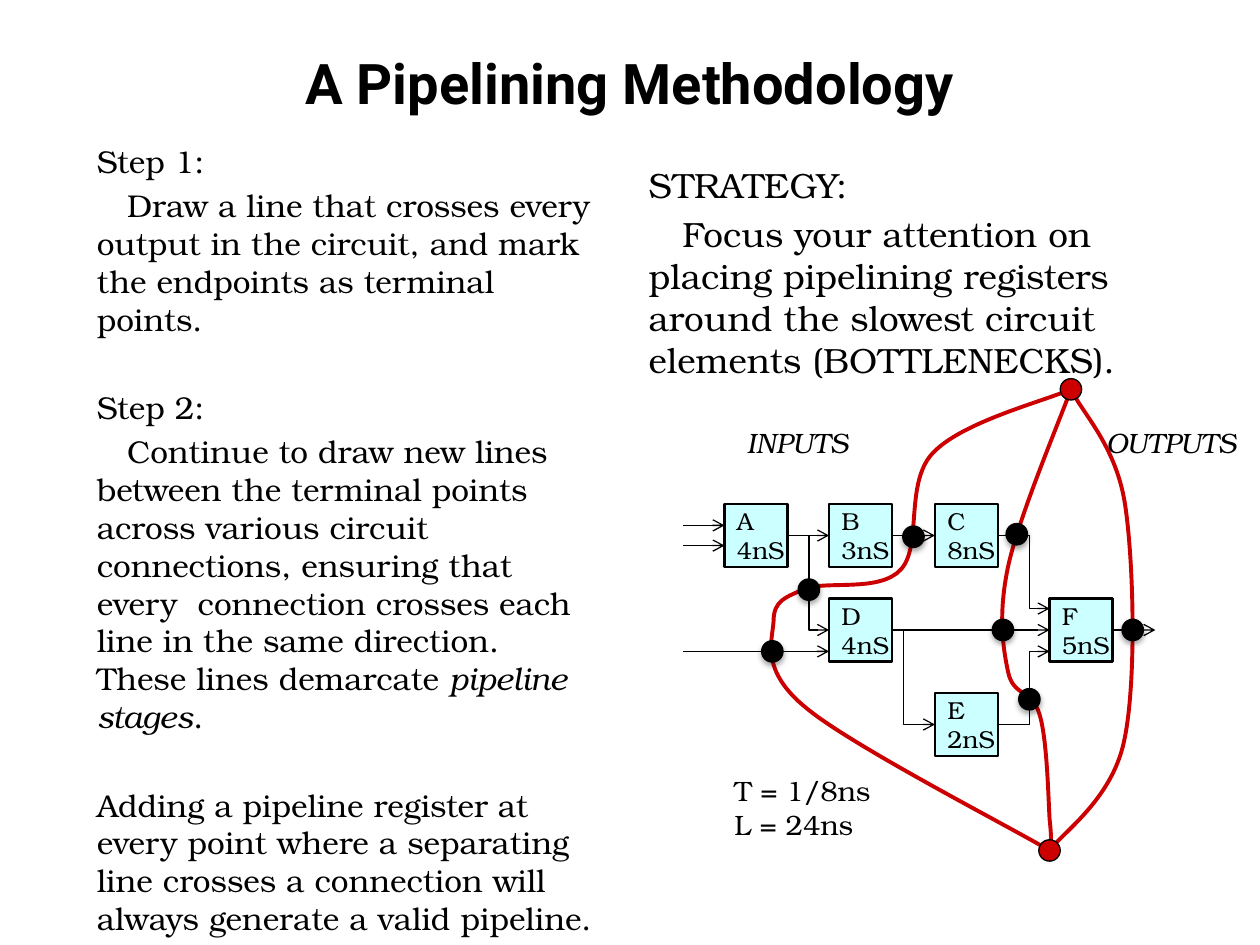
from lxml.etree import SubElement
from pptx import Presentation
from pptx.dml.color import RGBColor
from pptx.enum.shapes import MSO_CONNECTOR, MSO_SHAPE
from pptx.enum.text import MSO_ANCHOR, MSO_AUTO_SIZE, PP_ALIGN
from pptx.oxml.ns import qn
from pptx.util import Cm, Pt

RECT, OVAL = MSO_SHAPE.RECTANGLE, MSO_SHAPE.OVAL
STRAIGHT = MSO_CONNECTOR.STRAIGHT
MIDDLE = MSO_ANCHOR.MIDDLE
NO_FIT, GROW = MSO_AUTO_SIZE.NONE, MSO_AUTO_SIZE.SHAPE_TO_FIT_TEXT
LEFT, CENTER = PP_ALIGN.LEFT, PP_ALIGN.CENTER

COLORS = {"ink": "000000", "block": "CCFFFF", "cut": "CC0000"}
BODY = "TeX Gyre Bonum"
TITLE_FONT = {"name": "Roboto", "size": Pt(32), "bold": True}
STEP_FONT = {"name": BODY, "size": Pt(18)}
STRATEGY_FONT = {"name": BODY, "size": Pt(20)}
BLOCK_FONT = {"name": BODY, "size": Pt(14)}
LABEL_FONT = {"name": BODY, "size": Pt(16)}
ITALIC_FONT = {**LABEL_FONT, "italic": True}

SIDE, DOT = 0.5, 0.17
COL_A, COL_B, COL_C, COL_F = 5.75, 6.58, 7.42, 8.33
ROW_1, ROW_2, ROW_3 = 4, 4.75, 5.5
TOP, BOTTOM = (8.5, 3.09), (8.33, 6.75)

STEPS = [
    ("Step 1:", 3.6, 0),
    ("Draw a line that crosses every output in the circuit, and mark the "
     "endpoints as terminal points.", 3.6, 0.61),
    ("Step 2:", 29, 0),
    ("Continue to draw new lines between the terminal points across various "
     "circuit connections, ensuring that every  connection crosses each line "
     "in the same direction.  These lines demarcate *pipeline stages*.", 3.6, 0.61),
    ("Adding a pipeline register at every point where a separating line "
     "crosses a connection will always generate a valid pipeline.", 29, 0),
]
STRATEGY = [
    ("STRATEGY:", 4, 0),
    ("Focus your attention on placing pipelining registers around the slowest "
     "circuit elements (BOTTLENECKS).", 4, 0.68),
]
BLOCKS = [
    ("A", "4nS", COL_A, ROW_1), ("B", "3nS", COL_B, ROW_1),
    ("C", "8nS", COL_C, ROW_1), ("D", "4nS", COL_B, ROW_2),
    ("E", "2nS", COL_C, ROW_3), ("F", "5nS", COL_F, ROW_2),
]
ARROWS = [
    (5.42, COL_A, 4.17), (5.42, COL_A, 4.33), (6.25, COL_B, 4.25),
    (7.08, COL_C, 4.25), (7.08, COL_F, 5), (8.83, 9.17, 5), (5.42, COL_B, 5.17),
]
BENT_WIRES = [
    [(6.42, 4.25), (6.42, 5), (COL_B, 5)],
    [(7.92, 4.25), (8.17, 4.25), (8.17, 4.83), (COL_F, 4.83)],
    [(7.17, 5), (7.17, 5.75), (COL_C, 5.75)],
    [(7.92, 5.75), (8.17, 5.75), (8.17, 5.17), (COL_F, 5.17)],
]
CUTS = [
    [BOTTOM, (8.34, 6.72), (8.35, 6.68), (8.33, 6.5), (8.32, 6.32), (8.31, 5.86),
     (8.25, 5.67), (8.19, 5.47), (8.04, 5.53), (8, 5.33), (7.96, 5.14),
     (7.92, 4.88), (8, 4.5), (8.08, 4.12), (8.4, 3.36), TOP],
    [BOTTOM, (8.01, 6.56), (6.76, 5.92), (6.4, 5.62), (6.03, 5.32), (6.13, 5.09),
     (6.14, 4.93), (6.14, 4.77), (6.23, 4.74), (6.4, 4.67), (6.57, 4.61),
     (6.99, 4.7), (7.15, 4.52), (7.32, 4.34), (7.18, 3.84), (7.4, 3.6),
     (7.63, 3.35), (8.27, 3.19), TOP],
    [BOTTOM, (8.43, 6.61), (8.82, 6.35), (8.92, 5.89), (9.02, 5.44), (9, 4.48),
     (8.93, 4.01), (8.86, 3.54), (8.59, 3.28), TOP],
]
REGISTERS = [(8.07, 4.24), (7.96, 5), (8.17, 5.55), (8.99, 5),
             (7.25, 4.26), (6.42, 4.68), (6.13, 5.17)]


def cm(*inches):
    """Convert inches to a list of Cm lengths."""
    return [Cm(v * 2.54) for v in inches]


def rgb(name):
    """Look up a colour by its name."""
    return RGBColor.from_string(COLORS[name])


def set_line(shape, color, width):
    """Colour the line of a shape or connector."""
    shape.line.color.rgb = rgb(color)
    shape.line.width = Pt(width)


def add_arrowhead(shape):
    """Put an open arrowhead at the end of a line."""
    SubElement(shape.line._get_or_add_ln(), qn("a:tailEnd"), type="arrow")


def write(tf, paragraphs, fmt, align=LEFT):
    """Fill a frame with (text, space before, indent); stars mark italics."""
    for i, (text, before, indent) in enumerate(paragraphs):
        p = tf.paragraphs[0] if i == 0 else tf.add_paragraph()
        p.alignment, p.space_before = align, Pt(before)
        if indent:
            p._p.get_or_add_pPr().set("indent", str(Cm(indent)))
        for j, part in enumerate(text.split("*")):
            r = p.add_run()
            r.text = part
            r.font.color.rgb = rgb("ink")
            for key, value in fmt.items():
                setattr(r.font, key, value)
            if j % 2:
                r.font.italic = True


def add_text(s, box, paragraphs, fmt, align=LEFT, wrap=True):
    """Add a text box, which grows when it does not wrap."""
    tf = s.shapes.add_textbox(*cm(*box)).text_frame
    tf.word_wrap, tf.auto_size = wrap, NO_FIT if wrap else GROW
    write(tf, paragraphs, fmt, align)
    return tf


def add_figure(s, kind, box, fill, width):
    """Add a filled preset shape with a black outline."""
    sp = s.shapes.add_shape(kind, *cm(*box))
    sp.shadow.inherit = False
    sp.fill.solid()
    sp.fill.fore_color.rgb = rgb(fill)
    set_line(sp, "ink", width)
    return sp


def add_block(s, name, delay, x, y):
    """Add a circuit element with its name and delay."""
    tf = add_figure(s, RECT, (x, y, SIDE, SIDE), "block", 1.5).text_frame
    tf.word_wrap, tf.vertical_anchor = False, MIDDLE
    write(tf, [(name, 0, 0), (delay, 0, 0)], BLOCK_FONT)


def add_arrow(s, x1, x2, y):
    """Add a horizontal arrow."""
    line = s.shapes.add_connector(STRAIGHT, *cm(x1, y, x2, y))
    set_line(line, "ink", 0.75)
    add_arrowhead(line)
    SubElement(line._element.spPr, qn("a:effectLst"))


def add_outline(s, points, color, width):
    """Add an open unfilled outline through the points."""
    start, *rest = [cm(*point) for point in points]
    builder = s.shapes.build_freeform(*start)
    builder.add_line_segments(rest, close=False)
    sp = builder.convert_to_shape()
    sp.shadow.inherit = False
    sp.fill.background()
    set_line(sp, color, width)
    return sp


def add_cut(s, points):
    """Add a separating line whose points are Bézier controls."""
    sp = add_outline(s, points, "cut", 2.25)
    outline = next(sp._element.iter(qn("a:path")))
    segments = outline.findall(qn("a:lnTo"))
    for i in range(0, len(segments), 3):
        curve = SubElement(outline, qn("a:cubicBezTo"))
        for segment in segments[i:i + 3]:
            curve.append(segment[0])
            outline.remove(segment)


def add_dot(s, x, y, fill, shadow=False):
    """Add a dot around its centre, with a soft shadow if wanted."""
    sp = add_figure(s, OVAL, (x - DOT / 2, y - DOT / 2, DOT, DOT), fill, 0.75)
    if shadow:
        effects = sp._element.spPr.find(qn("a:effectLst"))
        shade = SubElement(effects, qn("a:outerShdw"), blurRad=str(Pt(3.1)),
                           dist=str(Pt(1.8)), dir="5400000", rotWithShape="0")
        color = SubElement(shade, qn("a:srgbClr"), val=COLORS["ink"])
        SubElement(color, qn("a:alpha"), val="35000")


def main():
    """Build the slide and save it."""
    prs = Presentation()
    prs.slide_width, prs.slide_height = cm(10, 7.5)
    s = prs.slides.add_slide(prs.slide_layouts[6])
    title = add_text(s, (0.5, 0.3, 9, 0.7), [("A Pipelining Methodology", 0, 0)],
                     TITLE_FONT, CENTER)
    title.vertical_anchor = MIDDLE
    add_text(s, (0.67, 1.08, 4.2, 5.58), STEPS, STEP_FONT)
    add_text(s, (5.05, 1.25, 4.2, 2.08), STRATEGY, STRATEGY_FONT)
    for block in BLOCKS:
        add_block(s, *block)
    for arrow in ARROWS:
        add_arrow(s, *arrow)
    for wire in BENT_WIRES:
        add_arrowhead(add_outline(s, wire, "ink", 0.75))
    for cut in CUTS:
        add_cut(s, cut)
    for terminal in (TOP, BOTTOM):
        add_dot(s, *terminal, "cut")
    add_text(s, (5.73, 6.09, 1.35, 0.64), [("T = 1/8ns", 0, 0), ("L = 24ns", 0, 0)],
             LABEL_FONT, wrap=False)
    for label, x, width in (("INPUTS", 5.83, 1.07), ("OUTPUTS", 8.68, 1.3)):
        add_text(s, (x, 3.33, width, 0.37), [(label, 0, 0)], ITALIC_FONT, wrap=False)
    for register in REGISTERS:
        add_dot(s, *register, "ink", shadow=True)
    prs.save("out.pptx")


if __name__ == "__main__":
    main()
